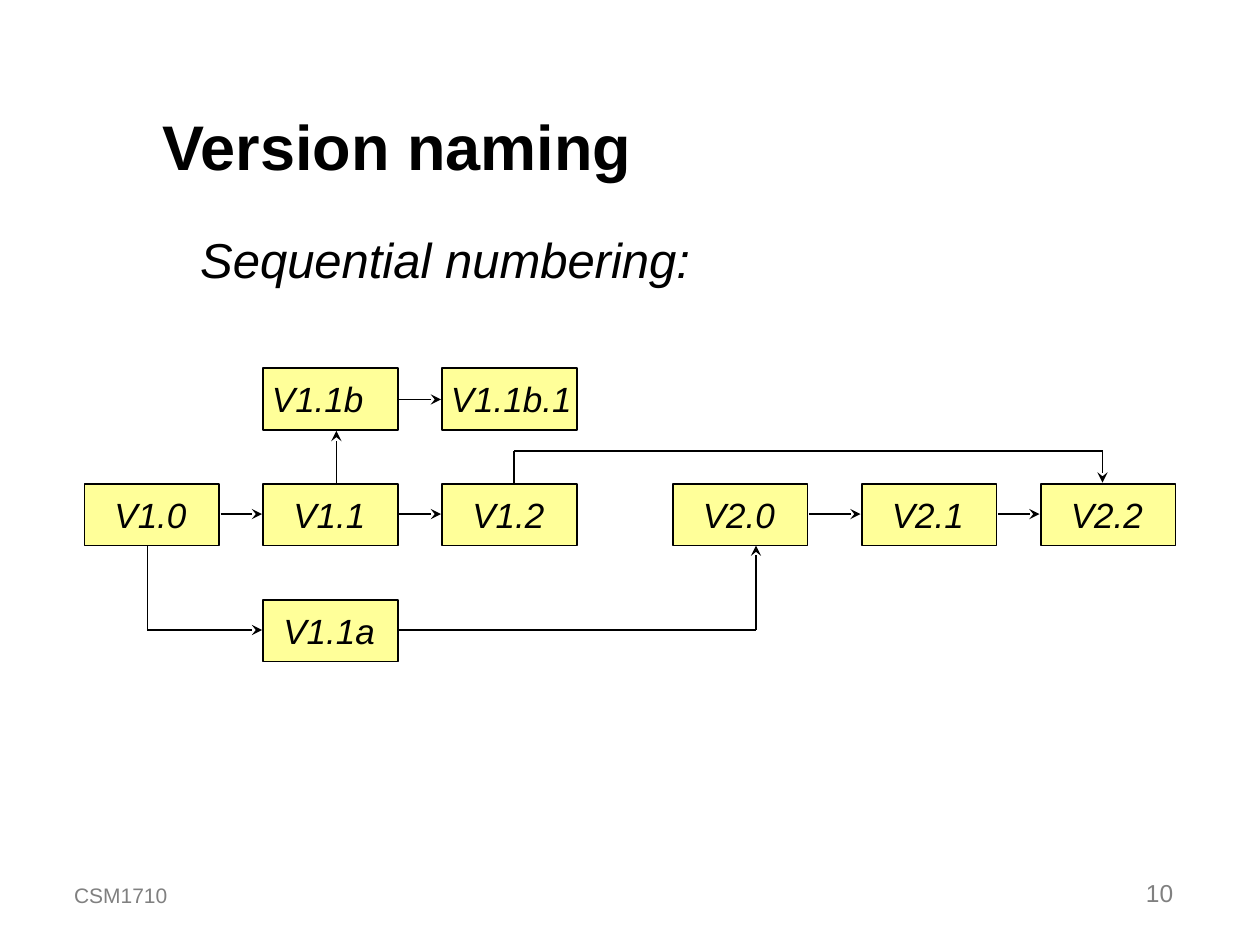
import itertools

import pptx
import pptx.dml.color
import pptx.enum.shapes
import pptx.enum.text
import pptx.oxml.ns
import pptx.util
from pptx.util import Inches

COLOURS = {"ink": "000000", "node": "FFFF99", "footer": "808080"}
ALIGN = pptx.enum.text.PP_ALIGN
ANCHOR = pptx.enum.text.MSO_ANCHOR

NODE_WIDTH, NODE_HEIGHT = 1.07, 0.49
COLUMNS = [0.67, 2.09, 3.51, 5.34, 6.84, 8.26]
ROWS = [2.92, 3.84, 4.76]

# Label, column, row, label offset from the node's left edge, label width
NODES = [
    ("V1.0", 0, 1, 0.14, 0.77),
    ("V1.1b", 1, 0, -0.03, 0.93),
    ("V1.1", 1, 1, 0.14, 0.77),
    ("V1.1a", 1, 2, 0.06, 0.93),
    ("V1.1b.1", 2, 0, -0.03, 1.16),
    ("V1.2", 2, 1, 0.14, 0.77),
    ("V2.0", 3, 1, 0.14, 0.77),
    ("V2.1", 4, 1, 0.14, 0.77),
    ("V2.2", 5, 1, 0.14, 0.77),
]

ROUTES = [
    [(1.75, 4.08), (2.08, 4.08)],
    [(2.67, 3.83), (2.67, 3.42)],
    [(3.17, 3.17), (3.5, 3.17)],
    [(3.17, 4.08), (3.5, 4.08)],
    [(3.17, 5), (6, 5), (6, 4.33)],
    [(4.08, 3.83), (4.08, 3.58), (8.75, 3.58), (8.75, 3.83)],
    [(6.42, 4.08), (6.83, 4.08)],
    [(7.92, 4.08), (8.25, 4.08)],
    [(1.17, 4.33), (1.17, 5), (2.08, 5)],
]


class SlideBuilder:
    def __init__(self, slide, font="Arial"):
        self.slide = slide
        self.font = font

    def colour(self, name):
        return pptx.dml.color.RGBColor.from_string(COLOURS[name])

    def text(self, words, left, top, width, height, size, colour="ink", bold=False,
             italic=False, align=ALIGN.LEFT, anchor=ANCHOR.TOP, wrap=False):
        box = self.slide.shapes.add_textbox(
            Inches(left), Inches(top), Inches(width), Inches(height))
        frame = box.text_frame
        frame.text = words
        frame.word_wrap = wrap
        frame.vertical_anchor = anchor
        para = frame.paragraphs[0]
        para.alignment = align
        font = para.runs[0].font
        font.name = self.font
        font.size = pptx.util.Pt(size)
        font.bold = bold
        font.italic = italic
        font.color.rgb = self.colour(colour)

    def node(self, left, top):
        box = self.slide.shapes.add_shape(
            pptx.enum.shapes.MSO_SHAPE.RECTANGLE, Inches(left), Inches(top),
            Inches(NODE_WIDTH), Inches(NODE_HEIGHT))
        box.shadow.inherit = False
        box.fill.solid()
        box.fill.fore_color.rgb = self.colour("node")
        box.line.color.rgb = self.colour("ink")
        box.line.width = pptx.util.Pt(1)

    def line(self, start, end, arrow):
        connector = self.slide.shapes.add_connector(
            pptx.enum.shapes.MSO_CONNECTOR.STRAIGHT,
            *(Inches(value) for value in (*start, *end)))
        connector.line.color.rgb = self.colour("ink")
        connector.line.width = pptx.util.Pt(1)
        if arrow:
            head = pptx.oxml.ns.qn("a:tailEnd")
            outline = connector.line._get_or_add_ln()
            outline.append(outline.makeelement(head, {"type": "stealth"}))
        properties = connector._element.spPr
        properties.append(properties.makeelement(pptx.oxml.ns.qn("a:effectLst"), {}))

    def route(self, points):
        """Join the points with straight lines, the last one ending in an arrowhead."""
        for start, end in itertools.pairwise(points):
            self.line(start, end, arrow=end == points[-1])


def main():
    deck = pptx.Presentation()
    deck.slide_width, deck.slide_height = Inches(10), Inches(7.5)
    builder = SlideBuilder(deck.slides.add_slide(deck.slide_layouts[6]))

    builder.text("Version naming", 1.19, 0.25, 7.75, 1.25, 36, bold=True,
                 anchor=ANCHOR.BOTTOM, wrap=True)
    builder.text("Sequential numbering:", 1.49, 1.77, 4.09, 0.57, 28, italic=True)

    for _, column, row, _, _ in NODES:
        builder.node(COLUMNS[column], ROWS[row])
    for points in ROUTES:
        builder.route(points)
    for label, column, row, offset, width in NODES:
        builder.text(label, COLUMNS[column] + offset, ROWS[row] + 0.03,
                     width, 0.43, 20, italic=True)

    builder.text("CSM1710", 0.49, 6.75, 3, 0.5, 12, "footer",
                 anchor=ANCHOR.BOTTOM, wrap=True)
    builder.text("10", 7.33, 6.75, 2.08, 0.5, 14, "footer",
                 align=ALIGN.RIGHT, anchor=ANCHOR.BOTTOM, wrap=True)
    deck.save("out.pptx")


if __name__ == "__main__":
    main()
